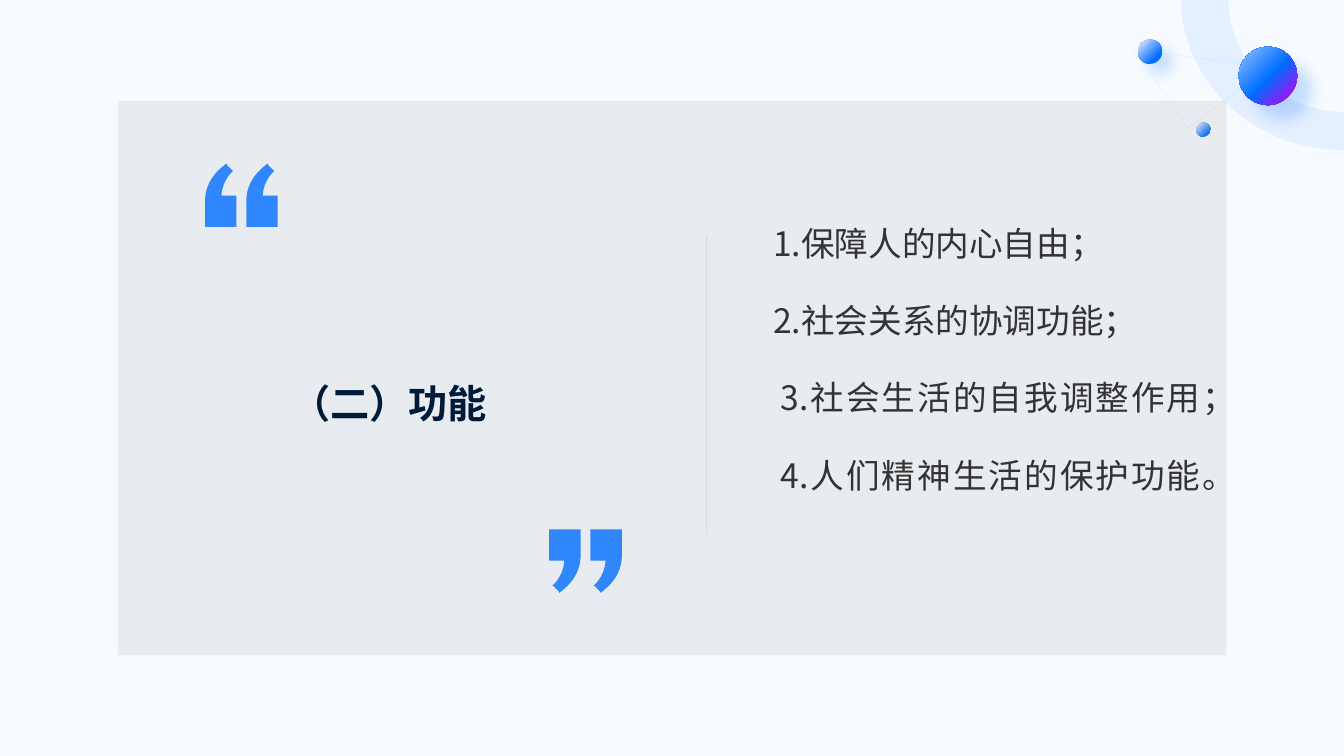
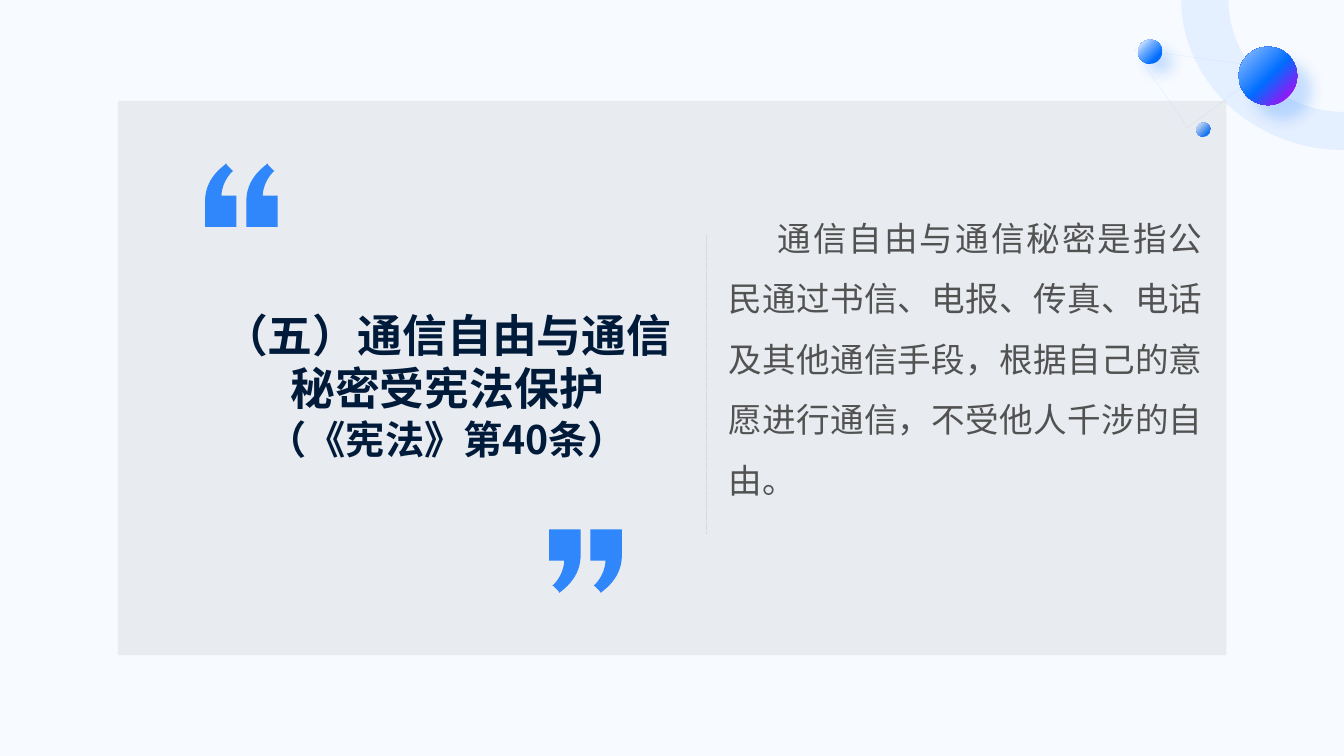
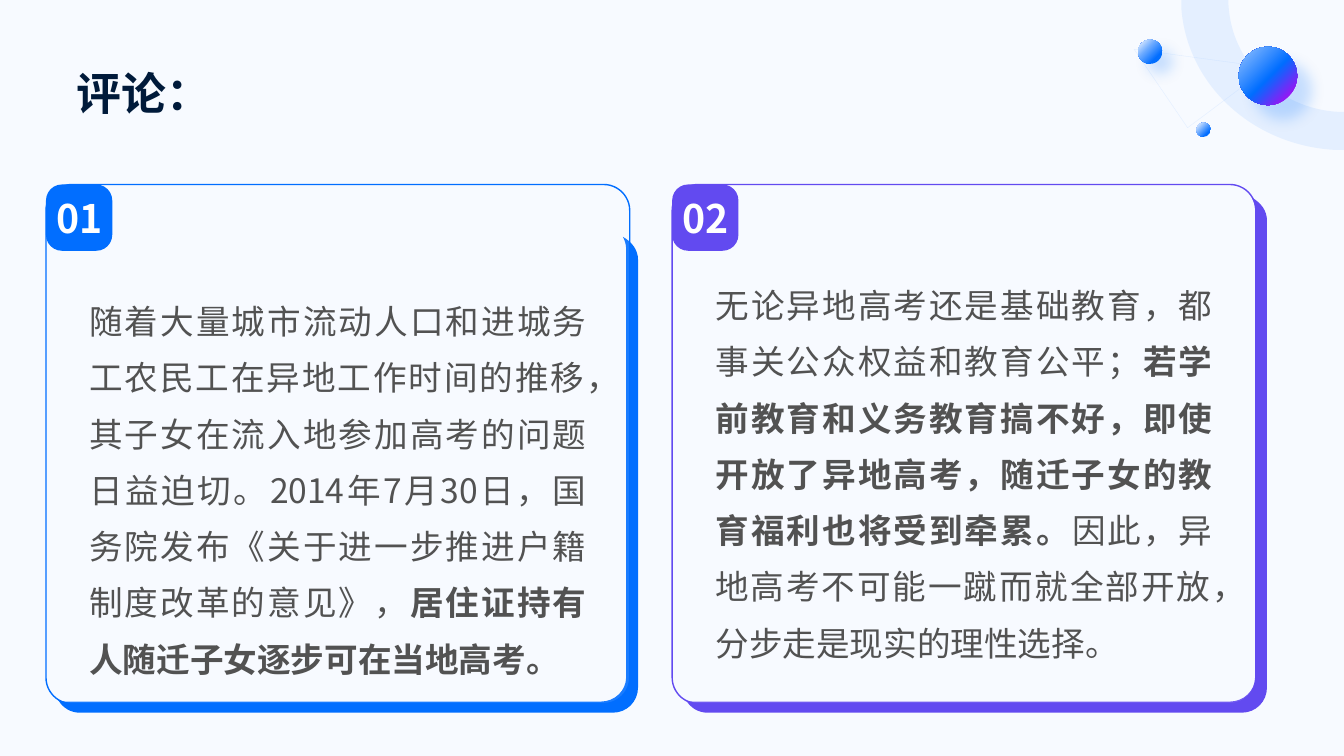
from lxml.etree import SubElement
from pptx import Presentation
from pptx.dml.color import RGBColor
from pptx.enum.dml import MSO_LINE
from pptx.enum.shapes import MSO_CONNECTOR, MSO_SHAPE
from pptx.enum.text import MSO_ANCHOR, PP_ALIGN
from pptx.oxml import parse_xml
from pptx.oxml.ns import nsdecls, qn
from pptx.util import Cm, Pt

INK = {
    "page": "F7FAFF", "navy": "001A3A", "dark": "333333", "body": "525252",
    "blue": "016EFF", "violet": "624AF0", "white": "FFFFFF", "panel": "999999",
    "rule": "D9D9D9", "pale": "CCE2FF", "sky": "99C5FF", "mid": "67A8FF",
    "plum": "9618F4",
}
SANS, HEAD = "Noto Sans CJK SC", "Arial"
WIDE, HIGH = 33.87, 19.05

# Outlines in cm: pairs are corners, sixes are Bezier curves.
QUOTE = [
    (0.53, 0), (0.56, 0.05), (0.61, 0.1, 0.64, 0.13, 0.69, 0.18),
    (0.71, 0.18), (0.71, 0.18, 0.43, 0.41, 0.41, 0.81), (0.79, 0.81),
    (0.79, 1.6), (0, 1.6), (0, 0.89), (0.03, 0.3, 0.53, 0.03, 0.53, 0),
]
RING = [
    (0, 0), (1.19, 0), (1.19, 0.13), (1.27, 1.57, 2.46, 2.74, 3.96, 2.82),
    (4.1, 2.82), (4.1, 3.78), (3.91, 3.78), (1.8, 3.68, 0.13, 2.13, 0, 0.18),
]
WEB = [(0, 0), (3.38, 0.46), (1.35, 1.98), (0, 0)]


def rgb(ink):
    return RGBColor.from_string(INK[ink])


def fade(shape, percent, route="a:solidFill"):
    """Set the opacity of the shape's fill, or of its line by route."""
    tint = shape._element.spPr.xpath(route + "/a:srgbClr")[0]
    SubElement(tint, qn("a:alpha"), val=str(percent * 1000))


def paint(shape, fill=None, line=None, width=1, alpha=None):
    shape.shadow.inherit = False
    if fill:
        shape.fill.solid()
        shape.fill.fore_color.rgb = rgb(fill)
        if alpha:
            fade(shape, alpha)
    else:
        shape.fill.background()
    if line:
        shape.line.color.rgb = rgb(line)
        shape.line.width = Pt(width)
    else:
        shape.line.fill.background()
    return shape


def block(slide, kind, x, y, w, h, **look):
    shape = slide.shapes.add_shape(kind, Cm(x), Cm(y), Cm(w), Cm(h))
    return paint(shape, **look)


def trace(slide, x, y, parts, **look):
    """Draw a closed outline whose parts are measured from x, y."""
    spots = [(Cm(x + part[i]), Cm(y + part[i + 1]))
             for part in parts for i in range(0, len(part), 2)]
    pen = slide.shapes.build_freeform(*spots[0])
    pen.add_line_segments(spots[1:], close=True)
    shape = pen.convert_to_shape()
    # Each run of three segments that stands for a curve becomes one.
    legs = iter(shape._element.spPr.xpath(".//a:lnTo"))
    for part in parts[1:]:
        leg = next(legs)
        if len(part) == 6:
            curve = parse_xml(f'<a:cubicBezTo {nsdecls("a")}/>')
            leg.addprevious(curve)
            for piece in (leg, next(legs), next(legs)):
                curve.append(piece[0])
                piece.getparent().remove(piece)
    return paint(shape, **look)


def write(shape, paras, pitch=None, align=PP_ALIGN.LEFT, gap=0, lefts=(), first=0):
    """Fill a shape with paragraphs, each a list of (text, size, ink, bold, face).

    A text that ends in a newline is followed by a line break.
    """
    frame = shape.text_frame
    for index, runs in enumerate(paras):
        para = frame.add_paragraph() if index else frame.paragraphs[0]
        para.alignment = align
        if pitch:
            para.line_spacing = Pt(pitch)
        if index and gap:
            para.space_before = Pt(gap)
        if lefts or first:
            props = para._p.get_or_add_pPr()
            props.set("marL", str(Cm(lefts[index] if lefts else 0)))
            props.set("indent", str(Cm(first)))
        for text, size, ink, bold, face in runs:
            run = para.add_run()
            run.text = text.rstrip("\n")
            run.font.size = Pt(size)
            run.font.bold = bold
            run.font.color.rgb = rgb(ink)
            run.font.name = face
            SubElement(run._r.get_or_add_rPr(), qn("a:ea"), typeface=SANS)
            if text.endswith("\n"):
                para.add_line_break()


def pad(shape, left=0, top=0, right=0, bottom=0, anchor=MSO_ANCHOR.MIDDLE, wrap=True):
    frame = shape.text_frame
    frame.margin_left, frame.margin_top = Cm(left), Cm(top)
    frame.margin_right, frame.margin_bottom = Cm(right), Cm(bottom)
    frame.vertical_anchor = anchor
    frame.word_wrap = wrap


def field(slide, x, y, w, h):
    return slide.shapes.add_textbox(Cm(x), Cm(y), Cm(w), Cm(h))


def title(slide, spot, runs, align=PP_ALIGN.LEFT):
    box = field(slide, *spot)
    pad(box, anchor=MSO_ANCHOR.BOTTOM)
    write(box, [runs], align=align)


def ball(slide, x, y, size, stops, drop=None):
    """Draw a sphere lit from the top left; drop is the shadow distance."""
    shape = block(slide, MSO_SHAPE.OVAL, x, y, size, size)
    props = shape._element.spPr
    tints = "".join(f'<a:gs pos="{pos * 1000}"><a:srgbClr val="{INK[ink]}"/></a:gs>'
                    for pos, ink in stops)
    props.replace(props.find(qn("a:noFill")), parse_xml(
        f'<a:gradFill {nsdecls("a")} rotWithShape="1"><a:gsLst>{tints}</a:gsLst>'
        '<a:path path="circle"><a:fillToRect r="100000" b="100000"/></a:path>'
        '</a:gradFill>'))
    if drop:
        props.find(qn("a:effectLst")).append(parse_xml(
            f'<a:outerShdw {nsdecls("a")} blurRad="{Pt(10)}" dist="{Pt(drop)}" '
            f'dir="2700000" algn="tl" rotWithShape="0"><a:srgbClr val="{INK["blue"]}">'
            '<a:alpha val="20000"/></a:srgbClr></a:outerShdw>'))


def start(deck):
    """Add a slide with the shared ground and corner ornament."""
    slide = deck.slides.add_slide(deck.slide_layouts[6])
    block(slide, MSO_SHAPE.RECTANGLE, 0, 0, WIDE, HIGH, fill="page")
    web = trace(slide, 28.58, 1.24, WEB, line="pale", width=0.25)
    fade(web, 50, "a:ln/a:solidFill")
    trace(slide, 29.77, 0, RING, fill="sky", alpha=20)
    ball(slide, 31.22, 1.18, 1.47, [(0, "sky"), (52, "blue"), (85, "plum")], 15)
    ball(slide, 28.68, 1, 0.61, [(12, "pale"), (40, "mid"), (75, "blue")], 10)
    ball(slide, 30.15, 3.09, 0.36, [(13, "pale"), (75, "blue")])
    return slide


def panel(slide, x, y, w, h):
    """Draw the grey panel with its divider and both pairs of quote marks."""
    block(slide, MSO_SHAPE.RECTANGLE, x, y, w, h, fill="panel", alpha=15)
    mid = Cm(x + 14.83)
    rule = slide.shapes.add_connector(
        MSO_CONNECTOR.STRAIGHT, mid, Cm(y + 3.38), mid, Cm(y + 10.9))
    rule.line.color.rgb = rgb("rule")
    rule.line.width = Pt(0.1)
    rule.line.dash_style = MSO_LINE.DASH
    SubElement(rule._element.spPr, qn("a:effectLst"))
    for dx, dy, turn in ((10.87, 10.8, 180), (2.2, 1.58, 0)):
        for step in (1.04, 0):
            mark = trace(slide, x + dx + step, y + dy, QUOTE, fill="blue", alpha=80)
            mark.rotation = turn


def quote(deck, body, **style):
    """Add a panel slide with body text on the right."""
    slide = start(deck)
    panel(slide, 2.97, 2.54, 27.94, 13.97)
    box = field(slide, 18.11, 3.63, 12.45, 12.24)
    pad(box, 0.25, 0, 0.25, 1.93)
    write(box, body, pitch=43.2, align=PP_ALIGN.JUSTIFY, **style)
    return slide


def ledge(w, h):
    """Outline of the raised edge along the right and bottom of a card."""
    return [
        (w - 0.38, 0), (w - 0.15, 0.13, w, 0.33, w, 0.58), (w, h - 0.64),
        (w, h - 0.28, w - 0.28, h, w - 0.64, h), (0.56, h),
        (0.33, h, 0.13, h - 0.13, 0.03, h - 0.3), (0, h - 0.33),
        (0.08, h - 0.28, 0.18, h - 0.28, 0.25, h - 0.28), (w - 0.94, h - 0.28),
        (w - 0.58, h - 0.28, w - 0.3, h - 0.56, w - 0.3, h - 0.89),
        (w - 0.3, 0.3), (w - 0.3, 0.2, w - 0.33, 0.1, w - 0.38, 0),
    ]


def card(slide, x, y, ink, edge, top, runs):
    """Draw a card; edge is its ledge's box, top the text inset."""
    dx, dy, w, h = edge
    trace(slide, x + dx, y + dy, ledge(w, h), fill=ink)
    face = block(slide, MSO_SHAPE.ROUNDED_RECTANGLE, x, y, 14.71, 13.08,
                 fill="white", alpha=10, line=ink)
    face.adjustments[0] = 0.05
    pad(face, 0.9, top, 0.9, anchor=MSO_ANCHOR.TOP)
    write(face, [runs], pitch=40.2, align=PP_ALIGN.JUSTIFY)


def badge(slide, x, y, number, ink):
    tag = block(slide, MSO_SHAPE.ROUNDED_RECTANGLE, x, y, 1.67, 1.67, fill=ink)
    tag.adjustments[0] = 0.24
    pad(tag, wrap=False)
    write(tag, [[(number, 28, "white", True, SANS)]], align=PP_ALIGN.CENTER)


def plain(text, ink="body"):
    return (text, 24, ink, False, SANS)


def strong(text):
    return (text, 24, "body", True, SANS)


def head(text, size=32, face=HEAD):
    return (text, size, "navy", True, face)


def main():
    deck = Presentation()
    deck.slide_width, deck.slide_height = Cm(WIDE), Cm(HIGH)

    points = ["1.保障人的内心自由；", "2.社会关系的协调功能；",
              "3.社会生活的自我调整作用；", "4.人们精神生活的保护功能。"]
    slide = quote(deck, [[plain(point, "dark")] for point in points],
                  gap=12, lefts=(1.13, 1.13, 1.31, 1.31))
    title(slide, (7.34, 8.33, 10.44, 2.41), [head("（二）功能", 28)])

    slide = quote(deck, [[plain(
        "通信自由与通信秘密是指公民通过书信、电报、传真、电话及其他通信手段，"
        "根据自己的意愿进行通信，不受他人千涉的自由。")]], first=1.24)
    title(slide, (5.13, 6.53, 12.29, 5.11),
          [head("（五）"), head("通信自由与通信秘密受宪法保护\n", face=SANS),
           head("（《宪法》第40条）", 28, SANS)], PP_ALIGN.CENTER)

    slide = start(deck)
    title(slide, (1.93, 0.99, 30, 2.01), [head("评论：")])
    card(slide, 1.16, 4.65, "blue", (0.29, 1.32, 14.63, 11.99), 2.34, [
        plain("随着大量城市流动人口和进城务工农民工在异地工作时间的推移，"
              "其子女在流入地参加高考的问题日益迫切。2014年7月30日，"
              "国务院发布《关于进一步推进户籍制度改革的意见》，"),
        strong("居住证持有人随迁子女逐步可在当地高考。")])
    card(slide, 16.94, 4.65, "violet", (0.33, 0.33, 14.66, 12.98), 1.94, [
        plain("无论异地高考还是基础教育，都事关公众权益和教育公平；"),
        strong("若学前教育和义务教育搞不好，即使开放了异地高考，"
               "随迁子女的教育福利也将受到牵累。"),
        plain("因此，异地高考不可能一蹴而就全部开放，分步走是现实的理性选择。")])
    badge(slide, 1.16, 4.65, "01", "blue")
    badge(slide, 16.94, 4.65, "02", "violet")
    deck.save("out.pptx")


if __name__ == "__main__":
    main()
